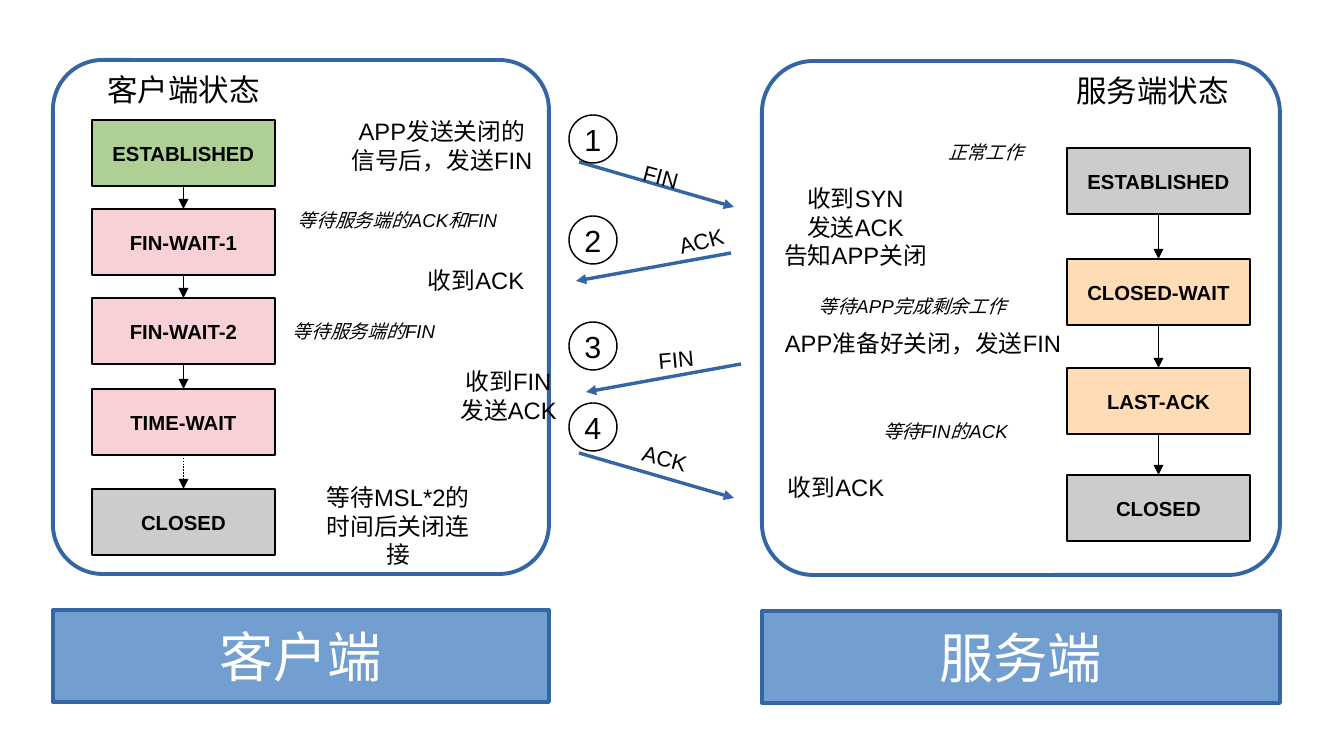
from itertools import pairwise

from lxml.etree import SubElement
from pptx import Presentation
from pptx.dml.color import RGBColor
from pptx.enum.dml import MSO_LINE
from pptx.enum.shapes import MSO_CONNECTOR, MSO_SHAPE
from pptx.enum.text import MSO_ANCHOR, MSO_AUTO_SIZE, PP_ALIGN
from pptx.oxml.ns import qn
from pptx.util import Pt

PX = 7495  # EMU
FONT = "Arial"
WHITE = RGBColor(0xFF, 0xFF, 0xFF)
BLACK = RGBColor(0x00, 0x00, 0x00)
BLUE = RGBColor(0x34, 0x65, 0xA4)
LIGHT_BLUE = RGBColor(0x72, 0x9F, 0xCF)
GREEN = RGBColor(0xAF, 0xD0, 0x95)
PINK = RGBColor(0xF7, 0xD1, 0xD5)
ORANGE = RGBColor(0xFF, 0xDB, 0xB6)
GREY = RGBColor(0xCC, 0xCC, 0xCC)

STATE_W, STATE_H = 183, 66
CIRCLE = 48
BANNER_GAP, BANNER_H = 36, 92

# States: name, top, fill. Notes: left, top, width, height, lines.
CLIENT = dict(
    name="客户端",
    heading=("客户端状态", 42),
    state_left=39,
    states=[("ESTABLISHED", 60, GREEN), ("FIN-WAIT-1", 149, PINK),
            ("FIN-WAIT-2", 238, PINK), ("TIME-WAIT", 329, PINK),
            ("CLOSED", 429, GREY)],
    actions=[(283, 51, 212, 82, ["APP发送关闭的", "信号后，发送FIN"]),
             (359, 200, 128, 46, ["收到ACK"]),
             (364, 301, 183, 82, ["收到FIN", "发送ACK"]),
             (250, 417, 190, 82, ["等待MSL*2的", "时间后关闭连接"])],
    waits=[(225, 143, 239, 46, ["等待服务端的ACK和FIN"]),
           (225, 254, 172, 46, ["等待服务端的FIN"])],
)
SERVER = dict(
    name="服务端",
    heading=("服务端状态", 302),
    state_left=305,
    states=[("ESTABLISHED", 87, GREY), ("CLOSED-WAIT", 198, ORANGE),
            ("LAST-ACK", 307, ORANGE), ("CLOSED", 414, GREY)],
    actions=[(2, 117, 183, 116, ["收到SYN", "发送ACK", "告知APP关闭"]),
             (5, 262, 312, 82, ["APP准备好关闭，发送FIN"]),
             (10, 406, 128, 46, ["收到ACK"])],
    waits=[(160, 74, 127, 46, ["正常工作"]),
           (40, 228, 221, 46, ["等待APP完成剩余工作"]),
           (102, 353, 163, 46, ["等待FIN的ACK"])],
)
# Circle top, arrow start, arrow reach, label, label corner, label turn
MESSAGES = [
    (55, (30, 102), (155, 45), "FIN", (65, 97), 15),
    (156, (182, 193), (-155, 28), "ACK", (111, 161), -15),
    (262, (192, 304), (-155, 28), "FIN", (84, 280), -5),
    (343, (30, 393), (155, 45), "ACK", (69, 378), 15),
]


def emu(*lengths):
    return [round(length * PX) for length in lengths]


def write(shape, lines, size, color=BLACK, bold=False, italic=False,
          align=PP_ALIGN.CENTER):
    frame = shape.text_frame
    frame.word_wrap = False
    for i, line in enumerate(lines):
        paragraph = frame.add_paragraph() if i else frame.paragraphs[0]
        paragraph.alignment = align
        run = paragraph.add_run()
        run.text = line
        font = run.font
        font.name, font.size, font.color.rgb = FONT, Pt(size), color
        font.bold, font.italic = bold, italic


def add_block(slide, preset, box, fill, line, width):
    block = slide.shapes.add_shape(preset, *emu(*box))
    block.shadow.inherit = False
    block.fill.solid()
    block.fill.fore_color.rgb = fill
    block.line.color.rgb = line
    block.line.width = Pt(width)
    block.text_frame.vertical_anchor = MSO_ANCHOR.MIDDLE
    return block


def add_label(slide, box, lines, size, **style):
    label = slide.shapes.add_textbox(*emu(*box))
    write(label, lines, size, **style)
    label.text_frame.auto_size = MSO_AUTO_SIZE.SHAPE_TO_FIT_TEXT
    return label


def add_arrow(slide, start, end, color, width):
    arrow = slide.shapes.add_connector(
        MSO_CONNECTOR.STRAIGHT, *emu(*start, *end))
    arrow.line.color.rgb = color
    arrow.line.width = Pt(width)
    SubElement(arrow.line._get_or_add_ln(), qn("a:tailEnd"), type="triangle")
    SubElement(arrow._element.spPr, qn("a:effectLst"))
    return arrow


def add_states(slide, left, top, states):
    """Stack the states and join each one to the next."""
    blocks = []
    for name, offset, fill in states:
        block = add_block(slide, MSO_SHAPE.FLOWCHART_PROCESS,
                          (left, top + offset, STATE_W, STATE_H),
                          fill, BLACK, 0.85)
        write(block, [name], 12, bold=True)
        blocks.append(block)
    arrows = []
    for upper, lower in pairwise(blocks):
        arrow = add_arrow(slide, (left, top), (left, top), BLACK, 0.85)
        arrow.begin_connect(upper, 2)
        arrow.end_connect(lower, 0)
        arrows.append(arrow)
    return arrows


def add_side(slide, box, side):
    """Draw one party: its frame, name banner, states and notes."""
    left, top, width, height = box
    frame = add_block(slide, MSO_SHAPE.ROUNDED_RECTANGLE, box,
                      WHITE, BLUE, 2.3)
    frame.adjustments[0] = 0.1
    banner = add_block(slide, MSO_SHAPE.RECTANGLE,
                       (left, top + height + BANNER_GAP, width, BANNER_H),
                       LIGHT_BLUE, BLUE, 2.3)
    write(banner, [side["name"]], 32, WHITE)

    heading, heading_left = side["heading"]
    add_label(slide, (left + heading_left, top + 5, 177, 56), [heading], 18,
              align=PP_ALIGN.LEFT)
    arrows = add_states(slide, left + side["state_left"], top, side["states"])
    for notes, size, italic in ((side["actions"], 14, False),
                                (side["waits"], 11, True)):
        for x, y, w, h, lines in notes:
            add_label(slide, (left + x, top + y, w, h), lines, size,
                      italic=italic)
    return arrows


def add_exchange(slide, left, top):
    """Draw the four numbered messages between the two sides."""
    for number, message in enumerate(MESSAGES, 1):
        circle_top, (x, y), (dx, dy), text, (label_x, label_y), turn = message
        start = left + x, top + y
        add_arrow(slide, start, (start[0] + dx, start[1] + dy), BLUE, 0)
        circle = add_block(slide, MSO_SHAPE.OVAL,
                           (left + 20, top + circle_top, CIRCLE, CIRCLE),
                           WHITE, BLACK, 0.85)
        write(circle, [str(number)], 18)
        label = add_label(slide, (left + label_x, top + label_y, 88, 61),
                          [text], 13)
        label.rotation = turn


def main():
    deck = Presentation()
    deck.slide_width, deck.slide_height = emu(1344, 756)
    slide = deck.slides.add_slide(deck.slide_layouts[6])
    client_arrows = add_side(slide, (53, 60, 496, 514), CLIENT)
    client_arrows[-1].line.dash_style = MSO_LINE.ROUND_DOT
    add_side(slide, (762, 61, 518, 514), SERVER)
    add_exchange(slide, 549, 60)
    deck.save("out.pptx")


if __name__ == "__main__":
    main()
